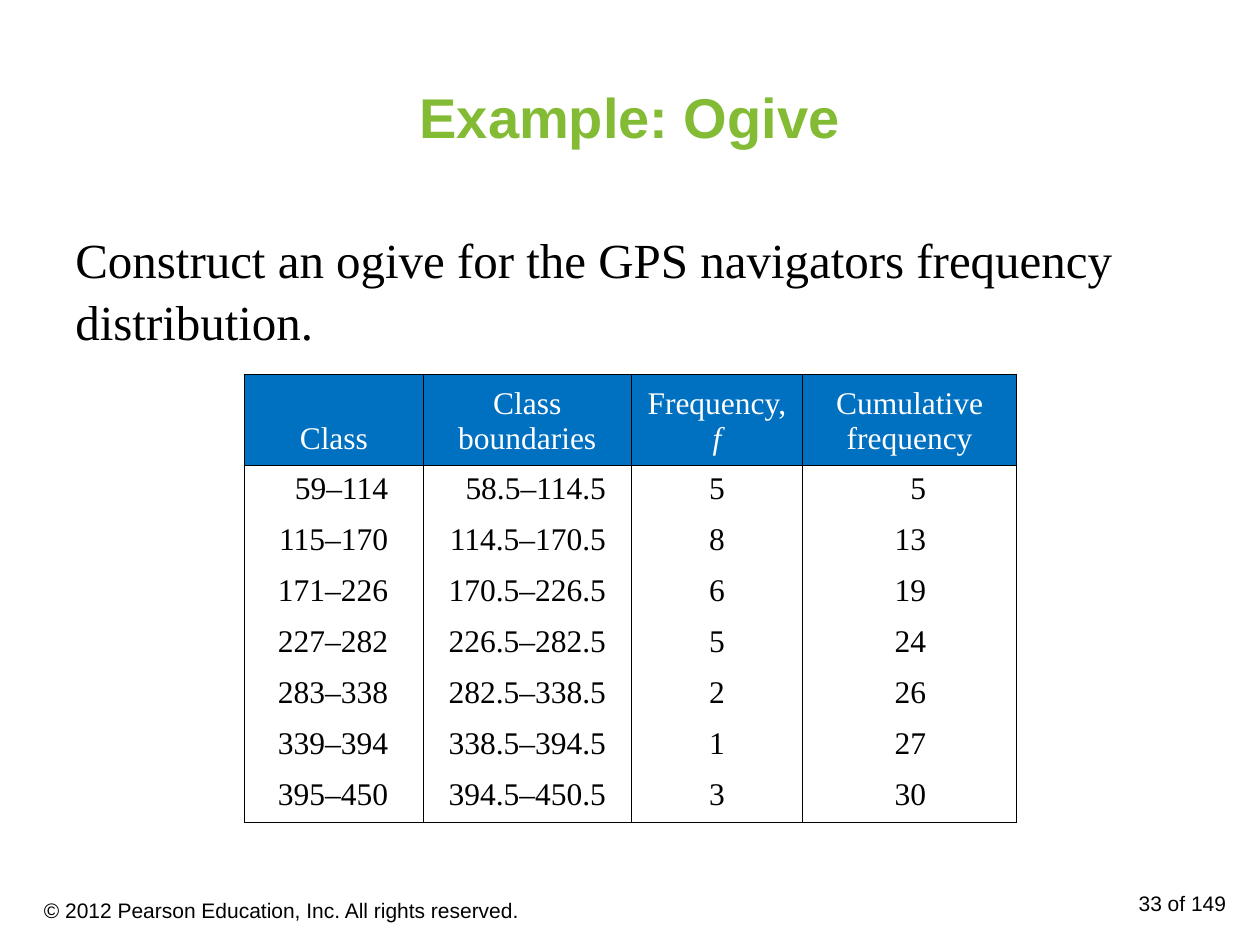
from pptx import Presentation
from pptx.dml.color import RGBColor
from pptx.enum.text import MSO_ANCHOR, PP_ALIGN
from pptx.oxml import parse_xml
from pptx.oxml.ns import nsdecls
from pptx.util import Inches, Pt

HUES = {"green": "83BB35", "blue": "0070C0", "white": "FFFFFF", "black": "000000"}
LEFT, MID, RIGHT = PP_ALIGN.LEFT, PP_ALIGN.CENTER, PP_ALIGN.RIGHT
TOP, HALF, LOW = MSO_ANCHOR.TOP, MSO_ANCHOR.MIDDLE, MSO_ANCHOR.BOTTOM

FONTS = {
    "title": {"name": "Arial", "size": Pt(32), "bold": True},
    "body": {"name": "Times New Roman", "size": Pt(28)},
    "cell": {"name": "Times New Roman", "size": Pt(18)},
    "foot": {"name": "Arial", "size": Pt(12)},
}
TITLE = ("Example: Ogive", (0.5, 0.3, 9, 1.25), "title", "green", MID, HALF)
BOXES = [
    ("Construct an ogive for the GPS navigators frequency distribution.",
     (0.5, 1.75, 9, 1.09), "body", "black", LEFT, TOP),
    ("33 of 149", (7.5, 7.02, 2.33, 0.4), "foot", "black", RIGHT, TOP),
    ("© 2012 Pearson Education, Inc. All rights reserved.",
     (0.25, 7.02, 4.75, 0.4), "foot", "black", LEFT, HALF),
]
HEADS = ["Class", "Class boundaries", "Frequency, ", "Cumulative frequency"]
ROWS = [
    ("59–114", "58.5–114.5", "5", "5"),
    ("115–170", "114.5–170.5", "8", "13"),
    ("171–226", "170.5–226.5", "6", "19"),
    ("227–282", "226.5–282.5", "5", "24"),
    ("283–338", "282.5–338.5", "2", "26"),
    ("339–394", "338.5–394.5", "1", "27"),
    ("395–450", "394.5–450.5", "3", "30"),
]
COLS = [(1.42, RIGHT, 0.28), (1.65, RIGHT, 0.2), (1.36, MID, 0.1), (1.7, RIGHT, 0.72)]
GRID = (1.94, 2.97, 6.13, 3.54)
HEAD = 0.7


def assign(item, values):
    for name, value in values.items():
        setattr(item, name, value)


def write(para, text, font, hue, **extra):
    run = para.add_run()
    run.text = text
    assign(run.font, {**FONTS[font], **extra})
    run.font.color.rgb = RGBColor.from_string(HUES[hue])


def fill_box(shape, text, area, font, hue, align, anchor):
    assign(shape, dict(zip(("left", "top", "width", "height"), map(Inches, area))))
    frame = shape.text_frame
    assign(frame, {"word_wrap": True, "vertical_anchor": anchor})
    para = frame.paragraphs[0]
    para.alignment = align
    write(para, text, font, hue)
    return para


def edge(cell, drawn):
    props = cell._tc.get_or_add_tcPr()
    for spot, side in enumerate("LRTB"):
        paint = "<a:noFill/>"
        if side in drawn:
            paint = f'<a:solidFill><a:srgbClr val="{HUES["black"]}"/></a:solidFill>'
        line = f'<a:ln{side} {nsdecls("a")} w="{Pt(0.45)}">{paint}</a:ln{side}>'
        props.insert(spot, parse_xml(line))


def add_grid(slide):
    shape = slide.shapes.add_table(len(ROWS) + 1, len(COLS), *map(Inches, GRID))
    table = shape.table
    assign(table, {"first_row": False, "horz_banding": False})
    for col, (width, _, _) in zip(table.columns, COLS):
        col.width = Inches(width)
    step = (GRID[3] - HEAD) / len(ROWS)
    for r, texts in enumerate([HEADS] + ROWS):
        top, last = r == 0, r == len(ROWS)
        table.rows[r].height = Inches(HEAD if top else step)
        for c, (text, (_, align, inset)) in enumerate(zip(texts, COLS)):
            cell = table.cell(r, c)
            assign(cell, {
                "vertical_anchor": LOW if top else TOP,
                "margin_right": Inches(0.1 if top else inset),
                "margin_bottom": Inches(0.07 if top else 0.05),
            })
            para = cell.text_frame.paragraphs[0]
            para.alignment = MID if top else align
            hue = "white" if top else "black"
            write(para, text, "cell", hue)
            if top:
                cell.fill.solid()
                cell.fill.fore_color.rgb = RGBColor.from_string(HUES["blue"])
                if text.startswith("Frequency"):
                    write(para, "f", "cell", hue, italic=True)
            else:
                cell.fill.background()
            edge(cell, "LR" + "T" * (r < 2) + "B" * (top or last))


def main():
    """Build the ogive example slide."""
    deck = Presentation()
    assign(deck, {"slide_width": Inches(10), "slide_height": Inches(7.5)})
    slide = deck.slides.add_slide(deck.slide_layouts[5])
    fill_box(slide.shapes.title, *TITLE)
    for text, area, *style in BOXES:
        box = slide.shapes.add_textbox(*map(Inches, area))
        para = fill_box(box, text, area, *style)
        if style[0] == "body":
            para.line_spacing = 1.05
    add_grid(slide)
    deck.save("out.pptx")


if __name__ == "__main__":
    main()
